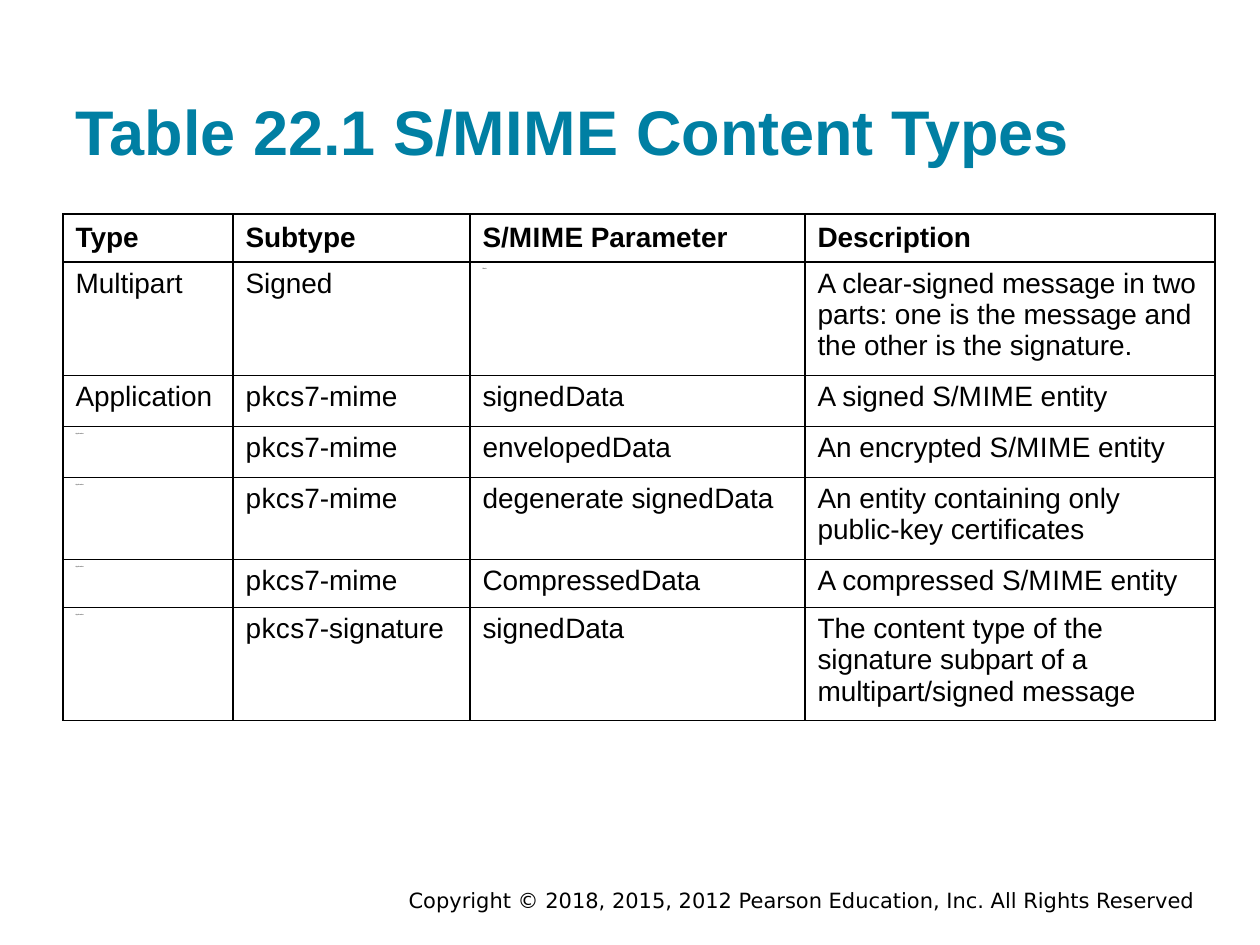
from lxml.etree import SubElement as Sub
from pptx import Presentation
from pptx.dml.color import RGBColor as RGB
from pptx.enum.text import MSO_ANCHOR as Anchor, PP_ALIGN as Align
from pptx.oxml import parse_xml
from pptx.oxml.ns import nsdecls, qn
from pptx.util import Pt

PX = 914400 / 126

THEME = {
    "title": {"name": "Arial", "size": 36, "bold": True, "color": "007FA3"},
    "head": {"name": "Arial", "size": 16, "bold": True, "color": "000000"},
    "body": {"name": "Arial", "size": 16, "bold": False, "color": "000000"},
    "tiny": {"name": "Arial", "size": 1, "bold": False, "color": "000000"},
    "foot": {"name": "DejaVu Sans", "size": 12, "bold": False, "color": "000000"},
    "thin": 1,
    "rule": "000000",
    "cell": "FFFFFF",
}

# A bar in a text stands for a hair-thin space between spelled letters
MIME = "S/M|I|M|E"
PKCS = "p|k|c|s7"

COLS = [170, 237, 335, 410]
ROWS = [48, 82, 51, 51, 82, 48, 82]
HEAD = ["Type", "Subtype", f"{MIME} Parameter", "Description"]
BODY = [
    ["Multipart", "Signed", "Blank",
     "A clear-signed message in two parts: one is the message and the other is the signature."],
    ["Application", f"{PKCS}-mime", "signed|Data", f"A signed {MIME} entity"],
    ["Application", f"{PKCS}-mime", "enveloped|Data", f"An encrypted {MIME} entity"],
    ["Application", f"{PKCS}-mime", "degenerate signed|Data",
     "An entity containing only public-key certificates"],
    ["Application", f"{PKCS}-mime", "Compressed|Data", f"A compressed {MIME} entity"],
    ["Application", f"{PKCS}-signature", "signed|Data",
     "The content type of the signature subpart of a multipart/signed message"],
]


def emu(px):
    return round(px * PX)


def add_run(para, text, form):
    run = para.add_run()
    run.text = text
    for key, val in form.items():
        if key == "color":
            run.font.color.rgb = RGB.from_string(val)
        else:
            setattr(run.font, key, Pt(val) if key == "size" else val)


def write(para, text, style):
    form = THEME[style]
    for i, part in enumerate(text.split("|")):
        if i:
            add_run(para, " ", {**form, "size": THEME["thin"]})
        add_run(para, part, form)
    # The paragraph end takes the text size, so it does not stretch the row
    Sub(para._p, qn("a:endParaRPr"), sz=str(form["size"] * 100))


def add_text(slide, box, text, style, anchor, align, pad):
    frame = slide.shapes.add_textbox(*map(emu, box)).text_frame
    form = {"word_wrap": True, "vertical_anchor": anchor,
            "margin_left": emu(13), "margin_right": emu(13),
            "margin_top": emu(pad), "margin_bottom": emu(pad)}
    for key, val in form.items():
        setattr(frame, key, val)
    para = frame.paragraphs[0]
    para.alignment = align
    write(para, text, style)


def add_rules(cell):
    props = cell._tc.get_or_add_tcPr()
    for i, side in enumerate("LRTB"):
        props.insert(i, parse_xml(
            f'<a:ln{side} {nsdecls("a")} w="12700"><a:solidFill>'
            f'<a:srgbClr val="{THEME["rule"]}"/></a:solidFill></a:ln{side}>'))


def style_of(row, col, text):
    if row == 0:
        return "head"
    # Blank cells and repeated types are kept as tiny marks
    again = col == 0 and row > 1 and text == BODY[row - 2][0]
    return "tiny" if again or text == "Blank" else "body"


def add_grid(slide, left, top):
    box = (left, top, sum(COLS), sum(ROWS))
    grid = slide.shapes.add_table(len(ROWS), len(COLS), *map(emu, box)).table
    grid.horz_banding = False
    for col, width in zip(grid.columns, COLS):
        col.width = emu(width)
    for row, height in zip(grid.rows, ROWS):
        row.height = emu(height)
    for r, line in enumerate([HEAD, *BODY]):
        for c, text in enumerate(line):
            cell = grid.cell(r, c)
            cell.fill.solid()
            cell.fill.fore_color.rgb = RGB.from_string(THEME["cell"])
            cell.vertical_anchor = Anchor.TOP if r else Anchor.MIDDLE
            add_rules(cell)
            write(cell.text_frame.paragraphs[0], text, style_of(r, c, text))


def main():
    deck = Presentation()
    deck.slide_width, deck.slide_height = emu(1260), emu(945)
    slide = deck.slides.add_slide(deck.slide_layouts[6])
    # Footer
    add_text(slide, (221, 886, 987, 28),
             "Copyright © 2018, 2015, 2012 Pearson Education, Inc. All Rights Reserved",
             "foot", Anchor.MIDDLE, Align.RIGHT, 6)
    # Title
    add_text(slide, (63, 30, 1134, 151), f"Table 22.1 {MIME} Content Types",
             "title", Anchor.BOTTOM, Align.LEFT, 13)
    # Table of content types
    add_grid(slide, 63, 214)
    deck.save("out.pptx")


if __name__ == "__main__":
    main()
